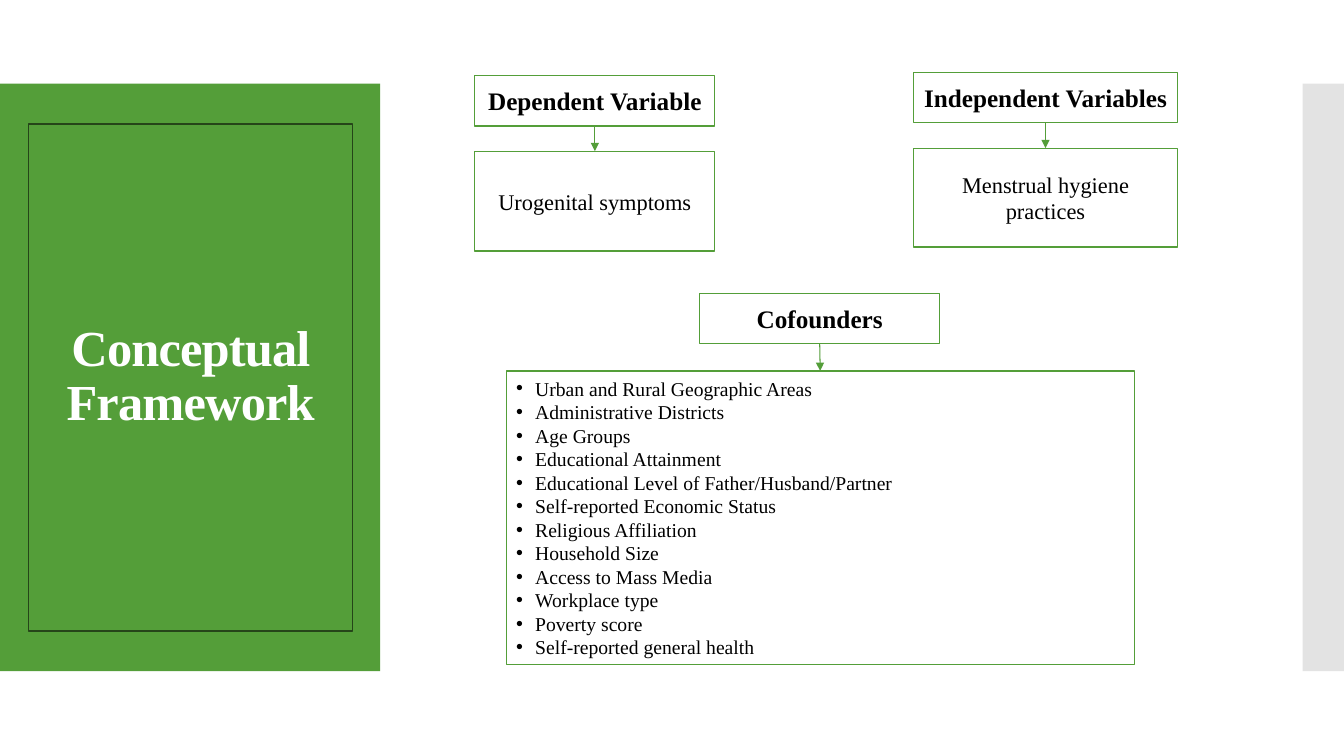
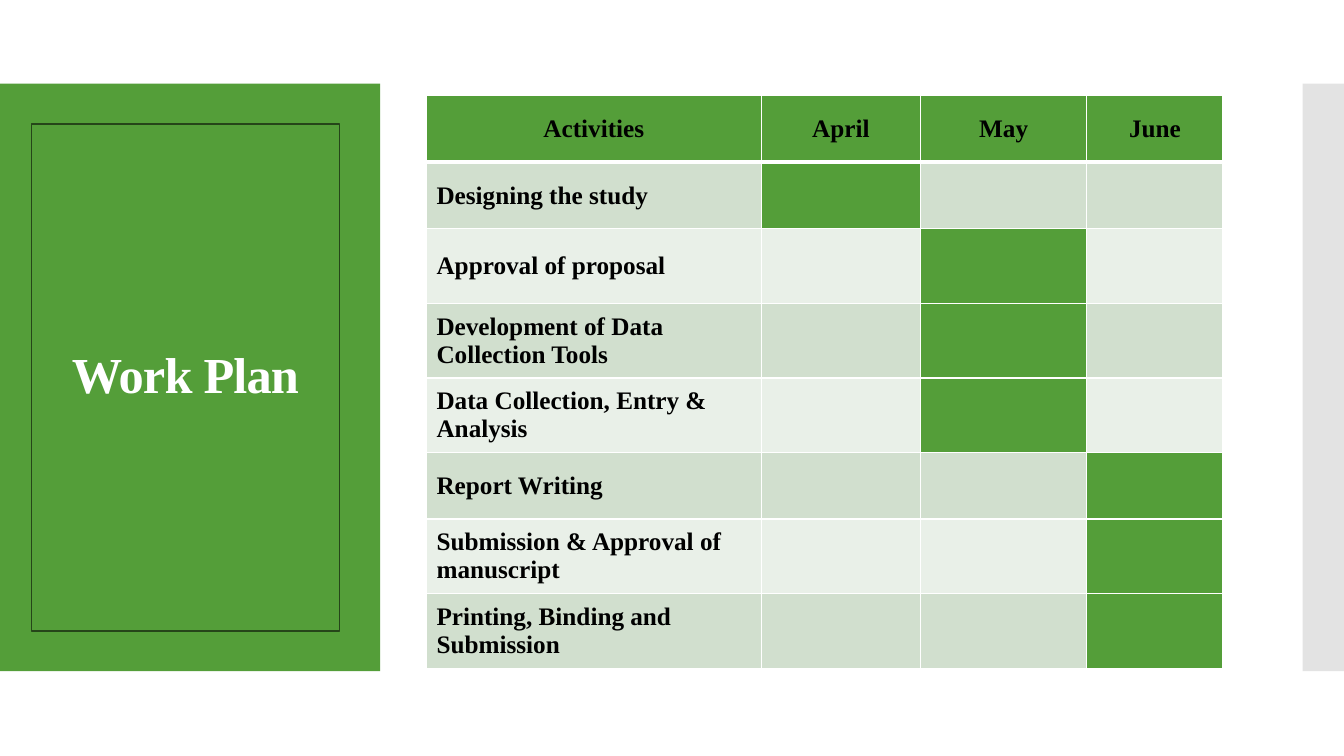
from dataclasses import dataclass
from typing import Optional

import lxml.etree
import pptx
import pptx.dml.color
import pptx.enum.shapes
import pptx.enum.text
import pptx.oxml
import pptx.oxml.ns
import pptx.util
from pptx.util import Inches

# Shared look
FONT = "Times New Roman"
GREEN, DARK_GREEN = "549E39", "254519"
WHITE, BLACK, GRAY = "FFFFFF", "000000", "C8C8C8"
BANDS = ("D1DFCE", "E9F0E8")
BAND_TOP, BAND_HEIGHT = 0.83, 5.83
LINE_WIDTH = 0.85

ALIGN = pptx.enum.text.PP_ALIGN
MIDDLE = pptx.enum.text.MSO_ANCHOR.MIDDLE
qn = pptx.oxml.ns.qn


@dataclass(frozen=True)
class Box:
    left: float
    top: float
    width: float
    height: float


@dataclass(frozen=True)
class Group:
    """A heading box with an arrow down to its detail box."""
    heading: str
    head: Box
    details: tuple[str, ...]
    body: Box
    bulleted: bool = False


@dataclass(frozen=True)
class Activity:
    name: str
    month: str
    height: float


GROUPS = (
    Group("Dependent Variable", Box(4.71, 0.75, 2.38, 0.5),
          ("Urogenital symptoms",), Box(4.71, 1.5, 2.38, 0.99)),
    Group("Independent Variables", Box(9.06, 0.72, 2.62, 0.5),
          ("Menstrual hygiene practices",), Box(9.06, 1.47, 2.62, 0.98)),
    Group("Cofounders", Box(6.94, 2.91, 2.38, 0.5),
          ("Urban and Rural Geographic Areas", "Administrative Districts",
           "Age Groups", "Educational Attainment",
           "Educational Level of Father/Husband/Partner",
           "Self-reported Economic Status", "Religious Affiliation",
           "Household Size", "Access to Mass Media", "Workplace type",
           "Poverty score", "Self-reported general health"),
          Box(5.02, 3.68, 6.23, 2.91), bulleted=True),
)

MONTHS = ("April", "May", "June")
COLUMN_WIDTHS = (3.32, 1.58, 1.65, 1.35)
HEADER_HEIGHT = 0.66
ACTIVITIES = (
    Activity("Designing the study", "April", 0.66),
    Activity("Approval of proposal", "May", 0.74),
    Activity("Development of Data Collection Tools", "May", 0.74),
    Activity("Data Collection, Entry & Analysis", "May", 0.74),
    Activity("Report Writing", "June", 0.66),
    Activity("Submission & Approval of manuscript", "June", 0.74),
    Activity("Printing, Binding and Submission", "June", 0.74),
)


def rgb(color: str) -> pptx.dml.color.RGBColor:
    return pptx.dml.color.RGBColor.from_string(color)


def add_child(parent, tag: str, **attrs: str):
    child = lxml.etree.SubElement(parent, qn(tag))
    for name, value in attrs.items():
        child.set(name, value)
    return child


def add_run(p, text: str, size: float, color: str = BLACK, bold: bool = False):
    r = p.add_run()
    r.text = text
    r.font.name = FONT
    r.font.size = pptx.util.Pt(size)
    r.font.bold = bold
    r.font.color.rgb = rgb(color)
    return r


def add_rect(s, box: Box, fill: str, line: Optional[str] = None):
    sp = s.shapes.add_shape(
        pptx.enum.shapes.MSO_SHAPE.RECTANGLE, Inches(box.left),
        Inches(box.top), Inches(box.width), Inches(box.height))
    sp.shadow.inherit = False
    sp.fill.solid()
    sp.fill.fore_color.rgb = rgb(fill)
    if line:
        sp.line.color.rgb = rgb(line)
        sp.line.width = pptx.util.Pt(LINE_WIDTH)
    else:
        sp.line.fill.background()
    sp.text_frame.word_wrap = True
    sp.text_frame.vertical_anchor = MIDDLE
    return sp


def add_bullet(p) -> None:
    indent = Inches(0.19)
    pPr = p._p.get_or_add_pPr()
    pPr.set("marL", str(indent))
    pPr.set("indent", str(-indent))
    add_child(pPr, "a:buFont", typeface="Arial")
    add_child(pPr, "a:buChar", char="•")


def add_text_box(s, box: Box, lines: tuple[str, ...], size: float,
                 bold: bool = False, bulleted: bool = False):
    sp = add_rect(s, box, WHITE, GREEN)
    tf = sp.text_frame
    for i, line in enumerate(lines):
        p = tf.add_paragraph() if i else tf.paragraphs[0]
        p.alignment = ALIGN.LEFT if bulleted else ALIGN.CENTER
        if bulleted:
            add_bullet(p)
        add_run(p, line, size, bold=bold)
    return sp


def add_arrow(s, upper, lower) -> None:
    c = s.shapes.add_connector(
        pptx.enum.shapes.MSO_CONNECTOR.STRAIGHT, 0, 0, 0, 0)
    c.begin_connect(upper, 2)
    c.end_connect(lower, 0)
    c.line.color.rgb = rgb(GREEN)
    c.line.width = pptx.util.Pt(0.75)
    add_child(c.line._get_or_add_ln(), "a:tailEnd", type="triangle")
    add_child(c._element.spPr, "a:effectLst")


def add_slide(prs, title: str, frame: Box):
    """Blank slide with the green band, gray edge and framed title."""
    s = prs.slides.add_slide(prs.slide_layouts[6])
    add_rect(s, Box(0, BAND_TOP, 3.77, BAND_HEIGHT), GREEN)
    edge = add_rect(s, Box(12.92, BAND_TOP, 0.41, BAND_HEIGHT), GRAY)
    clr = edge._element.spPr.find(qn("a:solidFill")).find(qn("a:srgbClr"))
    add_child(clr, "a:alpha", val="50000")

    sp = add_rect(s, frame, GREEN, DARK_GREEN)
    p = sp.text_frame.paragraphs[0]
    p.alignment = ALIGN.CENTER
    p.line_spacing = 0.9
    r = add_run(p, title, 36, WHITE, bold=True)
    r._r.get_or_add_rPr().set("spc", "-60")
    return s


def style_cell(cell, fill: str, top: float = 1, bottom: float = 1) -> None:
    tcPr = cell._tc.get_or_add_tcPr()
    for side, width in (("L", 1), ("R", 1), ("T", top), ("B", bottom)):
        ln = add_child(tcPr, f"a:ln{side}", w=str(pptx.util.Pt(width)))
        add_child(add_child(ln, "a:solidFill"), "a:srgbClr", val=WHITE)
    cell.fill.solid()
    cell.fill.fore_color.rgb = rgb(fill)
    cell.vertical_anchor = MIDDLE


def write_cell(cell, text: str, align) -> None:
    p = cell.text_frame.paragraphs[0]
    p.alignment = align
    add_run(p, text, 18, bold=True)


def add_work_plan(s) -> None:
    heights = (HEADER_HEIGHT, *(a.height for a in ACTIVITIES))
    table = s.shapes.add_table(
        len(heights), len(COLUMN_WIDTHS), Inches(4.23), Inches(0.95),
        Inches(sum(COLUMN_WIDTHS)), Inches(sum(heights))).table
    for column, width in zip(table.columns, COLUMN_WIDTHS):
        column.width = Inches(width)
    for row, height in zip(table.rows, heights):
        row.height = Inches(height)

    # Header row
    for col, heading in enumerate(("Activities", *MONTHS)):
        cell = table.cell(0, col)
        style_cell(cell, GREEN, bottom=3)
        write_cell(cell, heading, ALIGN.CENTER)

    # One row per activity, its month in green
    for row, activity in enumerate(ACTIVITIES, start=1):
        band = BANDS[(row - 1) % 2]
        top = 3 if row == 1 else 1
        name_cell = table.cell(row, 0)
        style_cell(name_cell, band, top)
        write_cell(name_cell, activity.name, ALIGN.LEFT)
        for col, month in enumerate(MONTHS, start=1):
            fill = GREEN if month == activity.month else band
            style_cell(table.cell(row, col), fill, top)


def main() -> None:
    prs = pptx.Presentation()
    prs.slide_width = Inches(13.33)
    prs.slide_height = Inches(7.5)

    # Conceptual framework
    s = add_slide(prs, "Conceptual Framework", Box(0.28, 1.23, 3.22, 5.03))
    for group in GROUPS:
        head = add_text_box(s, group.head, (group.heading,), 18, bold=True)
        body = add_text_box(s, group.body, group.details,
                            14 if group.bulleted else 16,
                            bulleted=group.bulleted)
        add_arrow(s, head, body)

    # Work plan
    s = add_slide(prs, "Work Plan", Box(0.31, 1.23, 3.06, 5.03))
    add_work_plan(s)

    prs.save("out.pptx")


if __name__ == "__main__":
    main()
